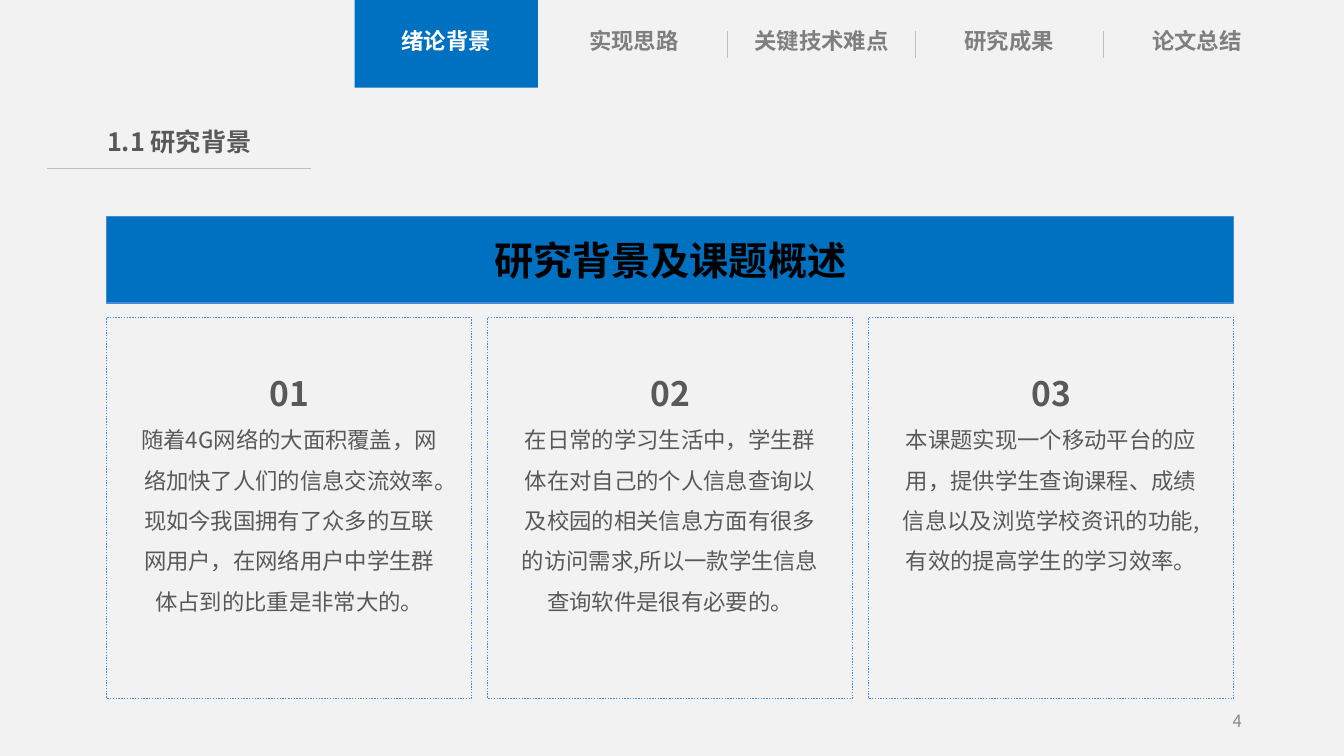
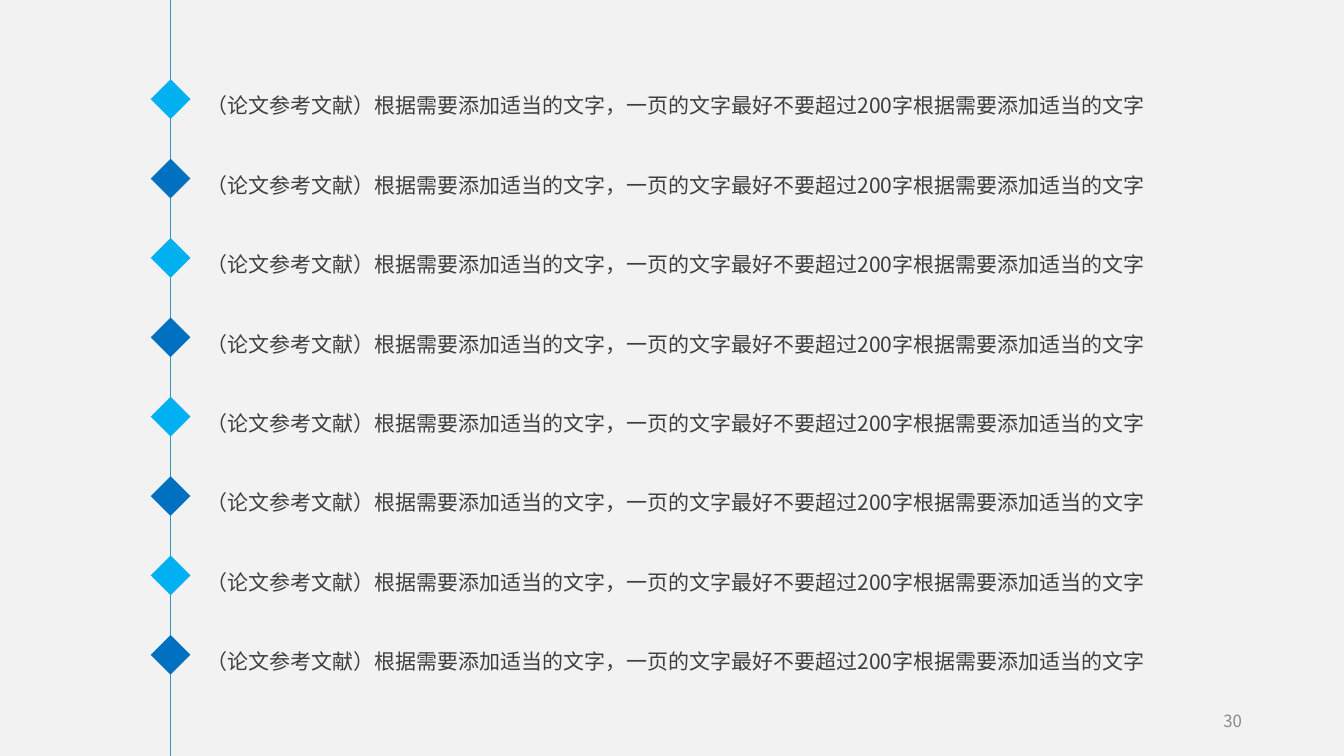
from lxml import etree
from pptx import Presentation
from pptx.dml.color import RGBColor
from pptx.enum.dml import MSO_LINE
from pptx.enum.lang import MSO_LANGUAGE_ID
from pptx.enum.shapes import MSO_CONNECTOR, MSO_SHAPE
from pptx.enum.text import MSO_ANCHOR, MSO_AUTO_SIZE, PP_ALIGN
from pptx.oxml.ns import qn
from pptx.util import Cm, Emu, Pt

# Shared look
FONT = "Noto Sans CJK SC"
PAPER = RGBColor(0xF2, 0xF2, 0xF2)
WHITE = RGBColor(0xFF, 0xFF, 0xFF)
BLACK = RGBColor(0x00, 0x00, 0x00)
BLUE = RGBColor(0x00, 0x70, 0xC0)
SKY = RGBColor(0x00, 0xB0, 0xF0)
EDGE = RGBColor(0x44, 0x8A, 0xD7)
TEAL = RGBColor(0x34, 0x94, 0xBA)
RULE = RGBColor(0xBF, 0xBF, 0xBF)
TAB_GREY = RGBColor(0x7F, 0x7F, 0x7F)
TEXT_GREY = RGBColor(0x59, 0x59, 0x59)
LIST_GREY = RGBColor(0x3F, 0x3F, 0x3F)
PAGE_GREY = RGBColor(0x89, 0x89, 0x89)
SLIDE_W, SLIDE_H = Cm(33.87), Cm(19.05)

# Content
CHAPTERS = ["绪论背景", "实现思路", "关键技术难点", "研究成果", "论文总结"]
TOPICS = [
    "随着4G网络的大面积覆盖，网络加快了人们的信息交流效率。现如今我国拥有了众多的互联网用户，"
    "在网络用户中学生群体占到的比重是非常大的。",
    "在日常的学习生活中，学生群体在对自己的个人信息查询以及校园的相关信息方面有很多的访问需求,"
    "所以一款学生信息查询软件是很有必要的。",
    "本课题实现一个移动平台的应用，提供学生查询课程、成绩信息以及浏览学校资讯的功能,"
    "有效的提高学生的学习效率。",
]
REFERENCES = ["（论文参考文献）根据需要添加适当的文字，一页的文字最好不要超过200字"
              "根据需要添加适当的文字"] * 8


def add_run(paragraph, text, size, color, bold=False):
    run = paragraph.add_run()
    run.text = text
    font = run.font
    font.size, font.bold, font.name = Pt(size), bold, FONT
    font.language_id = MSO_LANGUAGE_ID.SIMPLIFIED_CHINESE
    font.color.rgb = color
    etree.SubElement(run._r.get_or_add_rPr(), qn("a:ea"), typeface=FONT)


def set_frame(shape, anchor, side=0, top=0, bottom=0):
    frame = shape.text_frame
    frame.word_wrap = True
    frame.auto_size = MSO_AUTO_SIZE.NONE
    frame.vertical_anchor = anchor
    frame.margin_left = frame.margin_right = side
    frame.margin_top, frame.margin_bottom = top, bottom
    return frame


def place(shape, left, top, width, height):
    shape.left, shape.top, shape.width, shape.height = left, top, width, height


def add_block(slide, preset, box, fill=None, edge=None):
    block = slide.shapes.add_shape(preset, *box)
    block.shadow.inherit = False
    if fill is None:
        block.fill.background()
    else:
        block.fill.solid()
        block.fill.fore_color.rgb = fill
    if edge is None:
        block.line.fill.background()
    else:
        block.line.color.rgb = edge
        block.line.width = Pt(1)
    return block


def add_rule(slide, x1, y1, x2, y2, color=RULE):
    rule = slide.shapes.add_connector(MSO_CONNECTOR.STRAIGHT, x1, y1, x2, y2)
    rule.line.color.rgb = color
    rule.line.width = Pt(0.5)
    etree.SubElement(rule._element.spPr, qn("a:effectLst"))


def add_page_number(slide, number):
    footer = slide.shapes.add_textbox(Cm(23.93), Cm(17.65), Cm(7.62), Cm(1.02))
    paragraph = set_frame(footer, MSO_ANCHOR.MIDDLE, Cm(0.25)).paragraphs[0]
    paragraph.alignment = PP_ALIGN.RIGHT
    add_run(paragraph, number, 12, PAGE_GREY)


def add_chapter_tabs(slide, left, top, active):
    pitch, width, height = Cm(4.73), Cm(4.62), Cm(2.21)
    for i, chapter in enumerate(CHAPTERS):
        cell_left = left + i * pitch
        box = cell_left + (pitch - width) // 2, top, width, height
        tab = add_block(slide, MSO_SHAPE.RECTANGLE, box, BLUE if i == active else None)
        paragraph = set_frame(tab, MSO_ANCHOR.MIDDLE, bottom=Cm(0.15)).paragraphs[0]
        paragraph.alignment = PP_ALIGN.CENTER
        add_run(paragraph, chapter, 16, WHITE if i == active else TAB_GREY, True)
        # Separators stand only between inactive tabs
        if i > 0 and active not in (i - 1, i):
            add_rule(slide, cell_left, top + Cm(0.79), cell_left, top + Cm(1.47))


def add_section_title(slide, text, left, top):
    title = slide.shapes.title
    place(title, left + Cm(1.07), top, Cm(4.52), Cm(1.14))
    paragraph = set_frame(title, MSO_ANCHOR.MIDDLE).paragraphs[0]
    paragraph.alignment = PP_ALIGN.CENTER
    add_run(paragraph, text, 18, TEXT_GREY, True)
    rule_y = top + Cm(1.24)
    add_rule(slide, left, rule_y, left + Cm(6.66), rule_y)


def add_banner(slide, text, box):
    banner = add_block(slide, MSO_SHAPE.RECTANGLE, box, BLUE, EDGE)
    paragraph = set_frame(banner, MSO_ANCHOR.MIDDLE).paragraphs[0]
    paragraph.alignment = PP_ALIGN.CENTER
    add_run(paragraph, text, 28, BLACK, True)


def add_topic_cards(slide, left, top, width, height):
    gap = Cm(0.4)
    card_width = (width - gap * (len(TOPICS) - 1)) // len(TOPICS)
    for i, topic in enumerate(TOPICS):
        box = left + i * (card_width + gap), top, card_width, height
        card = add_block(slide, MSO_SHAPE.RECTANGLE, box, edge=EDGE)
        card.line.dash_style = MSO_LINE.ROUND_DOT
        frame = set_frame(card, MSO_ANCHOR.TOP, Cm(0.74), Cm(0.86))
        heading, detail = frame.paragraphs[0], frame.add_paragraph()
        heading.alignment = detail.alignment = PP_ALIGN.CENTER
        heading.line_spacing, detail.line_spacing = Pt(44), Pt(28.8)
        add_run(heading, f"{i + 1:02}", 24, TEXT_GREY, True)
        add_run(detail, topic, 16, TEXT_GREY)


def add_timeline(slide, left, top, pitch):
    size = Cm(1)
    axis = left + size // 2
    add_rule(slide, axis, 0, axis, SLIDE_H, TEAL)
    for i in range(len(REFERENCES)):
        box = left, top + i * pitch, size, size
        add_block(slide, MSO_SHAPE.DIAMOND, box, BLUE if i % 2 else SKY)


def add_reference_list(slide, left, top, pitch):
    body = slide.placeholders[1]
    place(body, left, top, Cm(25.25), pitch * len(REFERENCES))
    frame = set_frame(body, MSO_ANCHOR.TOP)
    line_height = Pt(30)
    for i, reference in enumerate(REFERENCES):
        paragraph = frame.add_paragraph() if i else frame.paragraphs[0]
        properties = paragraph._p.get_or_add_pPr()
        properties.set("marL", str(Cm(0.53)))
        properties.set("indent", str(-Cm(0.53)))
        etree.SubElement(properties, qn("a:buNone"))
        paragraph.line_spacing = line_height
        paragraph.space_before = Pt(0)
        paragraph.space_after = Emu(pitch - line_height)
        add_run(paragraph, reference, 15, LIST_GREY)


def build_background_slide(prs):
    slide = prs.slides.add_slide(prs.slide_layouts[5])
    left, width = Cm(2.69), Cm(28.4)
    add_chapter_tabs(slide, Cm(8.88), 0, active=0)
    add_section_title(slide, "1.1 研究背景", Cm(1.19), Cm(3))
    add_banner(slide, "研究背景及课题概述", (left, Cm(5.46), width, Cm(2.18)))
    add_topic_cards(slide, left, Cm(8), width, Cm(9.6))
    add_page_number(slide, "4")


def build_references_slide(prs):
    slide = prs.slides.add_slide(prs.slide_layouts[1])
    title = slide.shapes.title._element
    title.getparent().remove(title)
    pitch = Cm(2)
    add_timeline(slide, Cm(3.8), Cm(2), pitch)
    add_reference_list(slide, Cm(5.21), Cm(1.92), pitch)
    add_page_number(slide, "30")


def main():
    prs = Presentation()
    prs.slide_width, prs.slide_height = SLIDE_W, SLIDE_H
    paper = prs.slide_master.background.fill
    paper.solid()
    paper.fore_color.rgb = PAPER
    build_background_slide(prs)
    build_references_slide(prs)
    prs.save("out.pptx")


if __name__ == "__main__":
    main()
